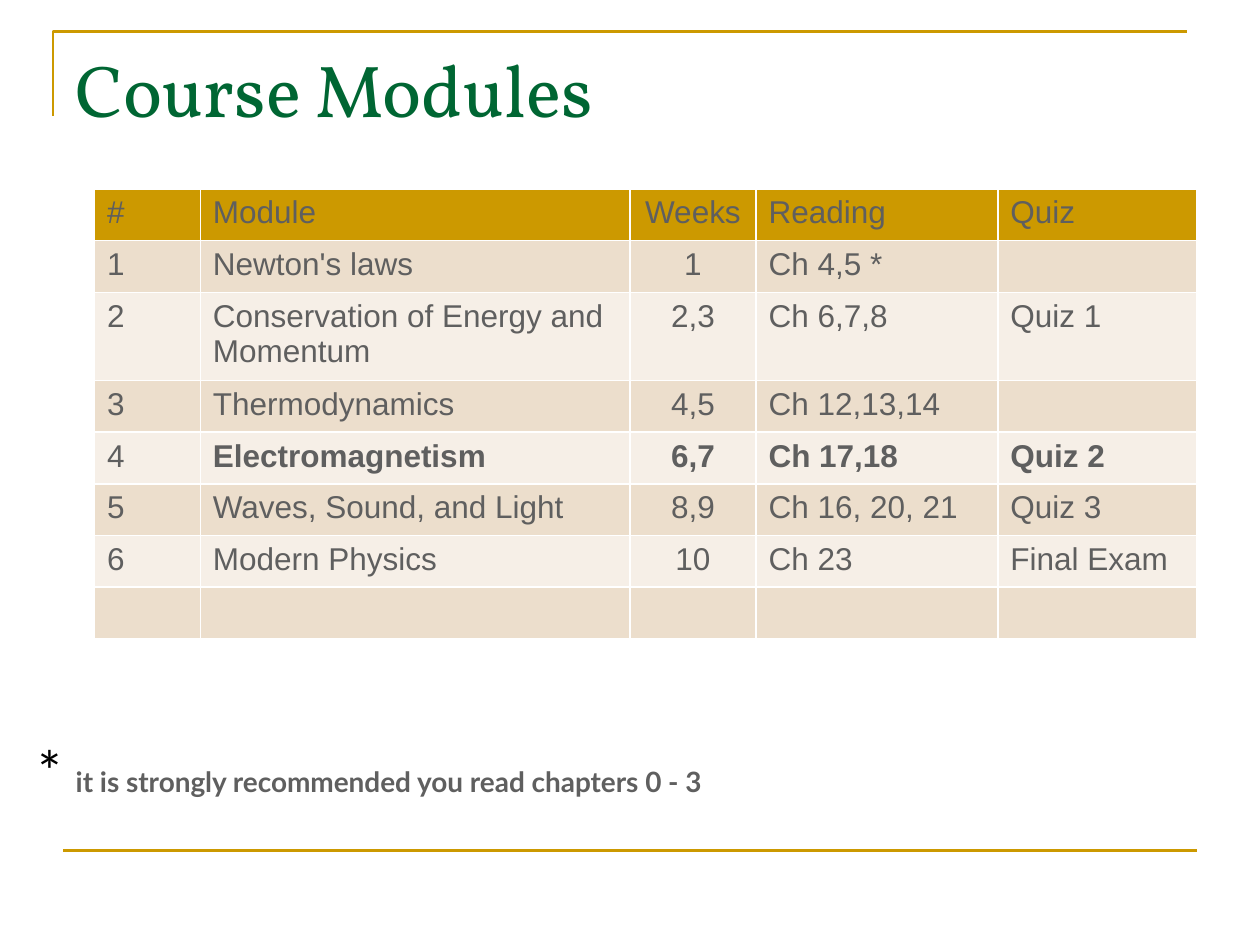
from lxml.etree import SubElement
from pptx import Presentation
from pptx.dml.color import RGBColor
from pptx.enum.shapes import MSO_CONNECTOR
from pptx.enum.text import MSO_ANCHOR, MSO_AUTO_SIZE, PP_ALIGN
from pptx.oxml.ns import qn
from pptx.util import Inches, Pt

COLORS = {
    "gold": "CC9900",
    "green": "006633",
    "gray": "5F5F5F",
    "black": "000000",
    "white": "FFFFFF",
    "dark_band": "ECDECC",
    "light_band": "F6EFE7",
}
COLUMN_WIDTHS = [0.84, 3.41, 1, 1.92, 1.58]
ROW_HEIGHT = 0.41
TALL_ROW_HEIGHT = 0.7
TALL_ROW = 2
WEEKS_COLUMN = 2
CURRENT_MODULE = "4"
MODULES = [
    ["#", "Module", "Weeks", "Reading", "Quiz"],
    ["1", "Newton's laws", "1", "Ch 4,5 *", ""],
    ["2", "Conservation of Energy and Momentum", "2,3", "Ch 6,7,8", "Quiz 1"],
    ["3", "Thermodynamics", "4,5", "Ch 12,13,14", ""],
    ["4", "Electromagnetism", "6,7", "Ch 17,18", "Quiz 2"],
    ["5", "Waves, Sound, and Light", "8,9", "Ch 16, 20, 21", "Quiz 3"],
    ["6", "Modern Physics", "10", "Ch 23", "Final Exam"],
    ["", "", "", "", ""],
]


def color(name):
    return RGBColor.from_string(COLORS[name])


def style_span(span, typeface, size, color_name, bold=False):
    span.font.name = typeface
    span.font.size = Pt(size)
    span.font.color.rgb = color(color_name)
    span.font.bold = bold


def style_line(line):
    line.color.rgb = color("gold")
    line.width = Pt(1.5)


def add_corner(page, left, top, width, height):
    builder = page.shapes.build_freeform(Inches(left), Inches(top + height))
    builder.add_line_segments(
        [(Inches(left), Inches(top)), (Inches(left + width), Inches(top))],
        close=False,
    )
    corner = builder.convert_to_shape()
    corner.shadow.inherit = False
    corner.fill.background()
    style_line(corner.line)


def add_rule(page, left, top, width):
    rule = page.shapes.add_connector(
        MSO_CONNECTOR.STRAIGHT,
        Inches(left), Inches(top), Inches(left + width), Inches(top),
    )
    style_line(rule.line)
    SubElement(rule._element.spPr, qn("a:effectLst"))


def add_title(page, left, top, width, height):
    box = page.shapes.add_textbox(
        Inches(left), Inches(top), Inches(width), Inches(height)
    )
    frame = box.text_frame
    frame.word_wrap = True
    frame.vertical_anchor = MSO_ANCHOR.TOP
    frame.text = "Course Modules"
    style_span(frame.paragraphs[0].runs[0], "Vollkorn", 42, "green")


def add_borders(cell):
    properties = cell._tc.get_or_add_tcPr()
    for side in ("lnL", "lnR", "lnT", "lnB"):
        border = SubElement(properties, qn(f"a:{side}"), w=str(Pt(1)))
        fill = SubElement(border, qn("a:solidFill"))
        SubElement(fill, qn("a:srgbClr"), val=COLORS["white"])


def band_color(row_index):
    if row_index == 0:
        return "gold"
    return "dark_band" if row_index % 2 else "light_band"


def fill_cell(cell, text, row_index, column_index, bold):
    add_borders(cell)
    cell.fill.solid()
    cell.fill.fore_color.rgb = color(band_color(row_index))
    if not text:
        return
    cell.text_frame.text = text
    para = cell.text_frame.paragraphs[0]
    if column_index == WEEKS_COLUMN:
        para.alignment = PP_ALIGN.CENTER
    style_span(para.runs[0], "Arial", 18, "gray", bold)


def add_module_table(page, left, top, width, height):
    table = page.shapes.add_table(
        len(MODULES), len(COLUMN_WIDTHS),
        Inches(left), Inches(top), Inches(width), Inches(height),
    ).table
    table.horz_banding = False
    for column, column_width in zip(table.columns, COLUMN_WIDTHS):
        column.width = Inches(column_width)
    for row_index, values in enumerate(MODULES):
        row_height = TALL_ROW_HEIGHT if row_index == TALL_ROW else ROW_HEIGHT
        table.rows[row_index].height = Inches(row_height)
        for column_index, text in enumerate(values):
            bold = values[0] == CURRENT_MODULE and column_index > 0
            cell = table.cell(row_index, column_index)
            fill_cell(cell, text, row_index, column_index, bold)


def add_footnote(page, left, top, width, height):
    box = page.shapes.add_textbox(
        Inches(left), Inches(top), Inches(width), Inches(height)
    )
    frame = box.text_frame
    frame.word_wrap = False
    frame.auto_size = MSO_AUTO_SIZE.SHAPE_TO_FIT_TEXT
    para = frame.paragraphs[0]
    star = para.add_run()
    star.text = "* "
    style_span(star, "Lato", 32, "black")
    advice = para.add_run()
    advice.text = "it is strongly recommended you read chapters 0 - 3"
    style_span(advice, "Lato", 16, "gray", True)


def main():
    deck = Presentation()
    deck.slide_width = Inches(10)
    deck.slide_height = Inches(7.5)
    page = deck.slides.add_slide(deck.slide_layouts[6])
    add_corner(page, 0.42, 0.25, 9, 0.67)
    add_rule(page, 0.5, 6.75, 9)
    add_title(page, 0.5, 0.3, 9, 1.25)
    add_module_table(page, 0.75, 1.5, 8.75, 3.54)
    add_footnote(page, 0.2, 5.8, 6.36, 0.64)
    deck.save("out.pptx")


if __name__ == "__main__":
    main()
